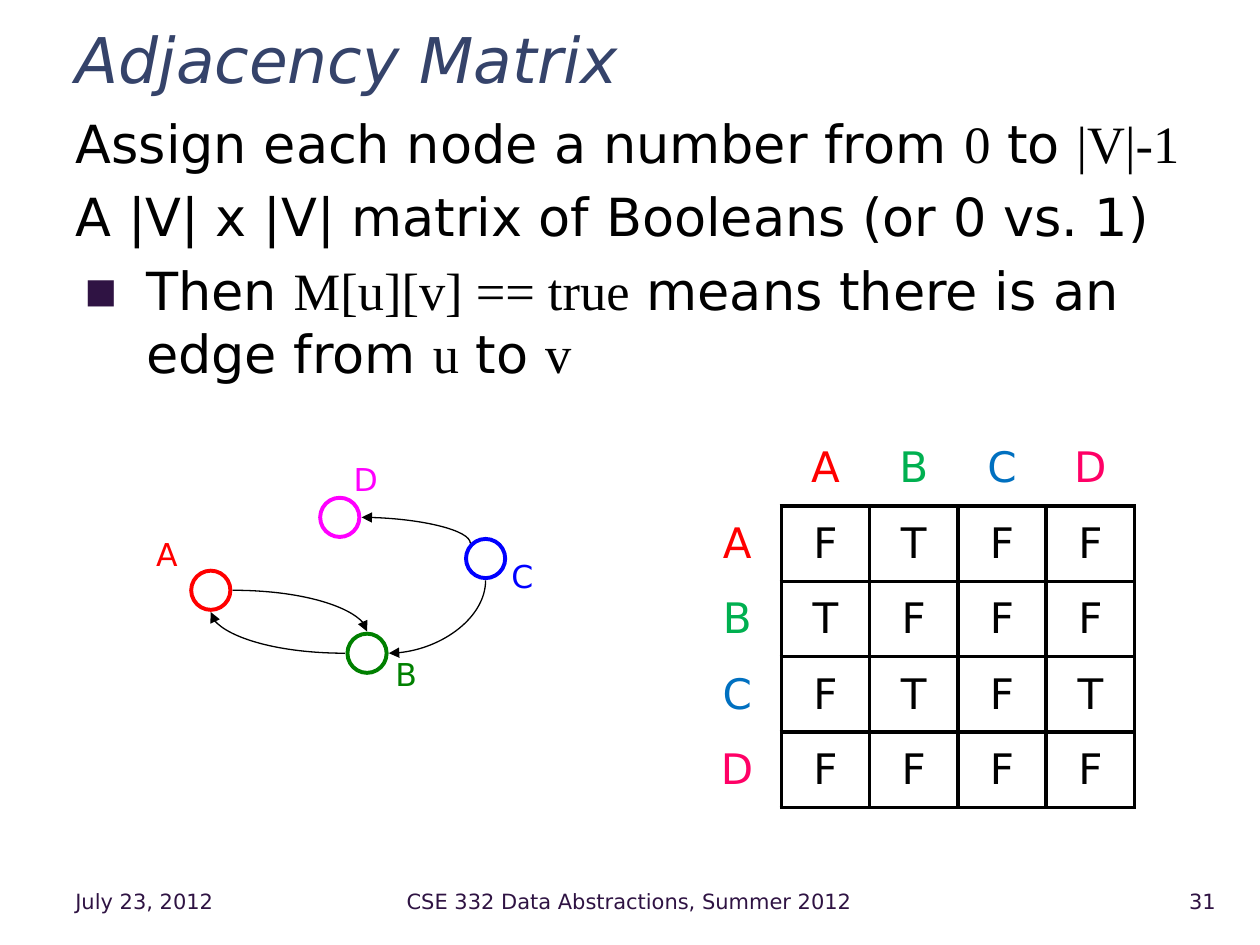
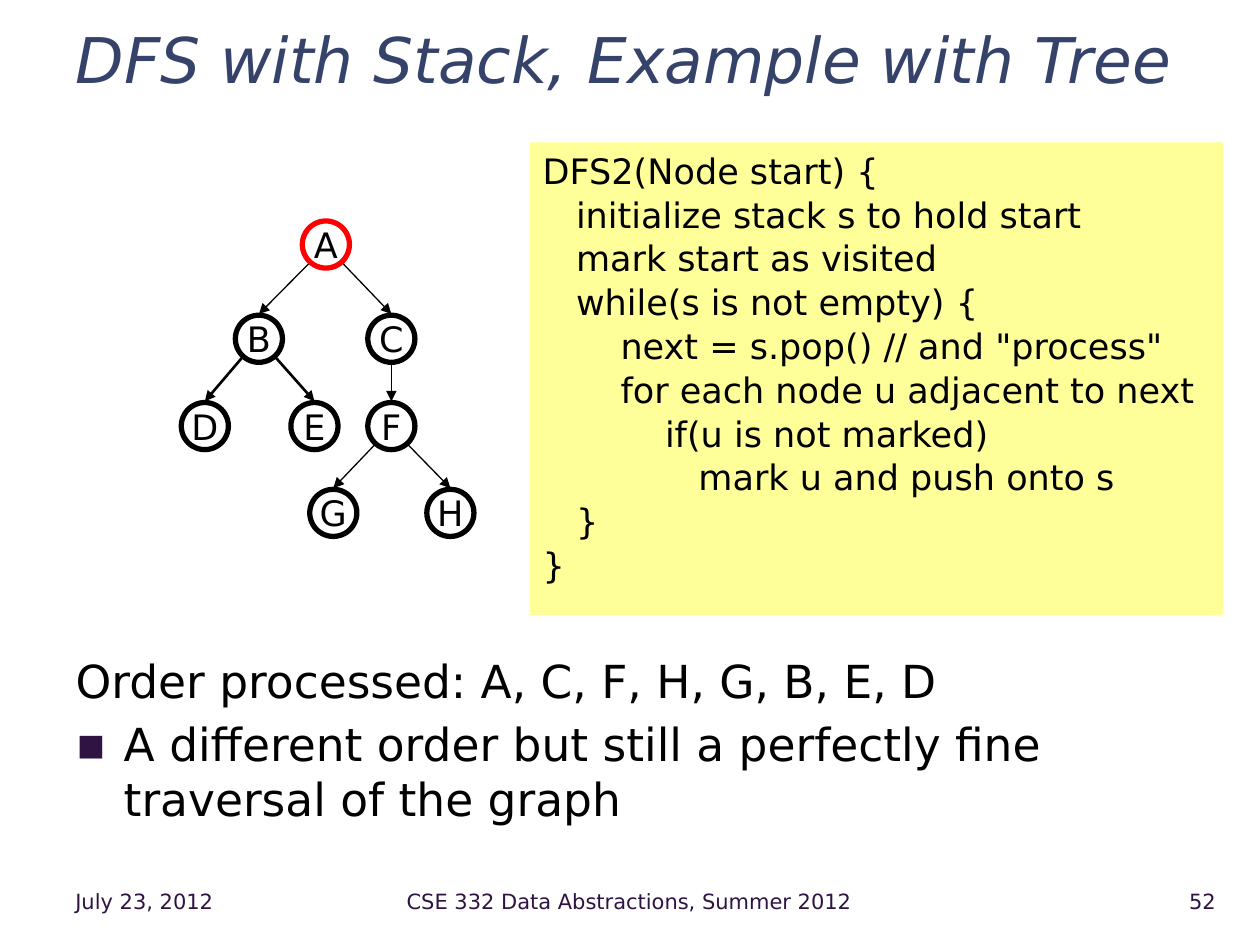
from lxml import etree
from pptx import Presentation
from pptx.dml.color import RGBColor
from pptx.enum.shapes import MSO_CONNECTOR, MSO_SHAPE
from pptx.enum.text import MSO_ANCHOR, MSO_AUTO_SIZE, PP_ALIGN
from pptx.oxml.ns import qn
from pptx.util import Cm, Pt

STRAIGHT, CURVE = MSO_CONNECTOR.STRAIGHT, MSO_CONNECTOR.CURVE
OVAL, RECTANGLE = MSO_SHAPE.OVAL, MSO_SHAPE.RECTANGLE
TOP, MIDDLE = MSO_ANCHOR.TOP, MSO_ANCHOR.MIDDLE
LEFT, CENTER, RIGHT = PP_ALIGN.LEFT, PP_ALIGN.CENTER, PP_ALIGN.RIGHT
NO_FIT = MSO_AUTO_SIZE.NONE

SANS, SERIF = "DejaVu Sans", "Times New Roman"
BLACK, WHITE, NAVY, PLUM = "000000", "FFFFFF", "35436A", "2F1343"
RED, CODE_YELLOW = "FF0000", "FFFF99"
NO_TABLE_STYLE = "{2D5ABB26-0587-4C30-8999-92F81FD0307C}"

TITLE_BOX = (1.27, 0.43, 23.5, 1.35)
FOOTER_TOP, FOOTER_HEIGHT = 17.65, 1.02

GRAPH_NODES = {
    "A": ((1.35, 2.75), (0, 1.52), RED),
    "B": ((4.5, 4.02), (4.82, 3.93), "008000"),
    "C": ((6.89, 2.11), (7.16, 1.95), "0000FF"),
    "D": ((3.95, 1.28), (3.98, 0), "FF00FF"),
}
GRAPH_EDGES = [
    ("A", (1, 0), "B", (0, -1), "tailEnd"),
    ("B", (-1, 0), "A", (0, 1), "tailEnd"),
    ("B", (1, 0), "C", (0, 1), "headEnd"),
    ("D", (1, 0), "C", (-0.7, -0.7), "headEnd"),
]
MATRIX_COLORS = {"A": RED, "B": "00B050", "C": "0070C0", "D": "FF0066"}
MATRIX_ROWS = ["FTFF", "TFFF", "FTFT", "FFFF"]

TREE_NODES = {
    "A": (2.91, 0.48), "B": (1.56, 2.38), "C": (4.23, 2.38),
    "D": (0.47, 4.14), "E": (2.68, 4.14), "F": (4.23, 4.14),
    "G": (3.06, 5.89), "H": (5.42, 5.89),
}
TREE_EDGES = ["AB", "AC", "BD", "BE", "CF", "FG", "FH"]

DFS_CODE = """DFS2(Node start) {
   initialize stack s to hold start
   mark start as visited
   while(s is not empty) {
       next = s.pop() // and "process"
       for each node u adjacent to next
           if(u is not marked)
              mark u and push onto s
   }
}"""


def color(hex_value):
    return RGBColor.from_string(hex_value)


def box_cm(left, top, width, height):
    return Cm(left), Cm(top), Cm(width), Cm(height)


def style_font(font, size, hex_value, name=SANS):
    font.name, font.size = name, Pt(size)
    font.color.rgb = color(hex_value)


def place(shape, box):
    shape.left, shape.top, shape.width, shape.height = box_cm(*box)


def add_label(slide, box, text, size, hex_value, align=LEFT, anchor=MIDDLE, wrap=True):
    frame = slide.shapes.add_textbox(*box_cm(*box)).text_frame
    frame.word_wrap, frame.vertical_anchor = wrap, anchor
    frame.text = text
    paragraph = frame.paragraphs[0]
    paragraph.alignment = align
    style_font(paragraph.runs[0].font, size, hex_value)


def add_footers(slide, number):
    for left, width, text, align in [
        (1.27, 4.45, "July 23, 2012", LEFT),
        (5.89, 13.59, "CSE 332 Data Abstractions, Summer 2012", CENTER),
        (22.58, 2.18, number, RIGHT),
    ]:
        add_label(slide, (left, FOOTER_TOP, width, FOOTER_HEIGHT), text, 12, PLUM, align)


def add_titled_slide(deck, title, number):
    slide = deck.slides.add_slide(deck.slide_layouts[1])
    heading = slide.shapes.title
    place(heading, TITLE_BOX)
    frame = heading.text_frame
    frame.auto_size, frame.vertical_anchor = NO_FIT, MIDDLE
    frame.text = title
    paragraph = frame.paragraphs[0]
    paragraph.alignment, paragraph.line_spacing = LEFT, 1.1
    font = paragraph.runs[0].font
    style_font(font, 36, NAVY)
    font.italic = True
    add_footers(slide, number)
    return slide


def set_indent(paragraph, margin, hanging):
    properties = paragraph._p.get_or_add_pPr()
    properties.set("marL", str(Cm(margin)))
    properties.set("indent", str(-Cm(hanging)))
    return properties


def set_bullet(paragraph, margin, hanging):
    properties = set_indent(paragraph, margin, hanging)
    tint = etree.SubElement(properties, qn("a:buClr"))
    etree.SubElement(tint, qn("a:srgbClr")).set("val", PLUM)
    etree.SubElement(properties, qn("a:buFont")).set("typeface", SANS)
    etree.SubElement(properties, qn("a:buChar")).set("char", "▪")


def fill_body(slide, box, statements, size, bullet_indent):
    body = slide.placeholders[1]
    place(body, box)
    frame = body.text_frame
    frame.auto_size = NO_FIT
    for index, pieces in enumerate(statements):
        paragraph = frame.add_paragraph() if index else frame.paragraphs[0]
        paragraph.space_before = Pt(0.2 * size if index else 0)
        if index == len(statements) - 1:
            set_bullet(paragraph, *bullet_indent)
        else:
            etree.SubElement(set_indent(paragraph, 0, 0), qn("a:buNone"))
        for position, piece in enumerate(pieces):
            run = paragraph.add_run()
            run.text = piece
            style_font(run.font, size, BLACK, SERIF if position % 2 else SANS)


def add_circle(slide, center, diameter, line_color, line_width):
    x, y = center
    circle = slide.shapes.add_shape(
        OVAL, *box_cm(x - diameter / 2, y - diameter / 2, diameter, diameter))
    circle.shadow.inherit = False
    circle.line.color.rgb = color(line_color)
    circle.line.width = Pt(line_width)
    return circle


def add_arrow(slide, kind, start, end, width, arrow_end="tailEnd"):
    arrow = slide.shapes.add_connector(kind, *(Cm(value) for value in (*start, *end)))
    arrow.line.color.rgb = color(BLACK)
    arrow.line.width = Pt(width)
    properties = arrow._element.spPr
    etree.SubElement(properties.find(qn("a:ln")), qn(f"a:{arrow_end}")).set("type", "triangle")
    etree.SubElement(properties, qn("a:effectLst"))
    return arrow


def draw_graph(slide, left, top):
    reach = 0.44

    def edge_point(node, direction):
        (x, y), (across, down) = GRAPH_NODES[node][0], direction
        return left + x + across * reach, top + y + down * reach

    for name, ((x, y), (label_x, label_y), hue) in GRAPH_NODES.items():
        circle = add_circle(slide, (left + x, top + y), 0.79, hue, 2.25)
        circle.fill.solid()
        circle.fill.fore_color.rgb = color(WHITE)
        add_label(slide, (left + label_x, top + label_y, 1.02, 1.09),
                  name, 18, hue, anchor=TOP, wrap=False)
    for flat_node, flat_side, steep_node, steep_side, arrow_end in GRAPH_EDGES:
        arrow = add_arrow(slide, CURVE, edge_point(flat_node, flat_side),
                          edge_point(steep_node, steep_side), 0.75, arrow_end)
        arrow._element.spPr.find(qn("a:prstGeom")).set("prst", "curvedConnector2")


def set_borders(cell, sides):
    properties = cell._tc.get_or_add_tcPr()
    for position, side in enumerate(sides):
        line = etree.Element(qn(f"a:ln{side}"), w=str(Pt(2.25)))
        fill = etree.SubElement(line, qn("a:solidFill"))
        etree.SubElement(fill, qn("a:srgbClr")).set("val", BLACK)
        properties.insert(position, line)


def draw_matrix(slide, left, top, column_width, row_height):
    names = list(MATRIX_COLORS)
    grid = [[""] + names] + [[name, *row] for name, row in zip(names, MATRIX_ROWS)]
    count = len(grid)
    table = slide.shapes.add_table(count, count, *box_cm(
        left, top, count * column_width, count * row_height)).table
    table.first_row = table.horz_banding = False
    table._tbl.tblPr.find(qn("a:tableStyleId")).text = NO_TABLE_STYLE
    for row_index, row in enumerate(grid):
        table.rows[row_index].height = Cm(row_height)
        table.columns[row_index].width = Cm(column_width)
        for column_index, text in enumerate(row):
            cell = table.cell(row_index, column_index)
            cell.fill.background()
            cell.vertical_anchor = MIDDLE
            cell.margin_left = cell.margin_right = Cm(0.25)
            cell.margin_top = cell.margin_bottom = Cm(0.25)
            if row_index and column_index:
                set_borders(cell, "LRTB")
            elif row_index:
                set_borders(cell, "R")
            elif column_index:
                set_borders(cell, "B")
            else:
                continue
            cell.text = text
            paragraph = cell.text_frame.paragraphs[0]
            paragraph.alignment = CENTER
            style_font(paragraph.runs[0].font, 24, MATRIX_COLORS.get(text, BLACK))


def draw_tree(slide, left, top):
    centers = {name: (left + x, top + y) for name, (x, y) in TREE_NODES.items()}
    for parent, child in TREE_EDGES:
        (x, y), (child_x, child_y) = centers[parent], centers[child]
        side = (child_x > x) - (child_x < x)
        start = (x + side * 0.34, y + (0.38 if side else 0.5))
        add_arrow(slide, STRAIGHT, start, (child_x, child_y - 0.5),
                  1.5 if parent == "B" else 0.75)
    for name, center in centers.items():
        circle = add_circle(slide, center, 0.95, RED if name == "A" else BLACK, 3)
        circle.fill.background()
        frame = circle.text_frame
        frame.word_wrap, frame.vertical_anchor = False, MIDDLE
        frame.text = name
        frame.paragraphs[0].alignment = CENTER
        style_font(frame.paragraphs[0].runs[0].font, 20, BLACK)


def draw_code(slide, box):
    panel = slide.shapes.add_shape(RECTANGLE, *box_cm(*box))
    panel.shadow.inherit = False
    panel.fill.solid()
    panel.fill.fore_color.rgb = color(CODE_YELLOW)
    panel.line.fill.background()
    frame = panel.text_frame
    frame.word_wrap, frame.vertical_anchor = True, TOP
    frame.margin_left = frame.margin_right = Cm(0.25)
    frame.margin_top = frame.margin_bottom = Cm(0.25)
    frame.text = DFS_CODE
    for index, paragraph in enumerate(frame.paragraphs):
        set_indent(paragraph, 0.97, 0.97)
        paragraph.alignment = LEFT
        paragraph.line_spacing = Pt(21)
        paragraph.space_before = Pt(4 if index else 0)
        style_font(paragraph.runs[0].font, 20, BLACK)


def build_matrix_slide(deck):
    slide = add_titled_slide(deck, "Adjacency Matrix", "31")
    fill_body(slide, (1.27, 2.11, 23.5, 15.24), [
        ["Assign each node a number from ", "0", " to ", "|V|-1"],
        ["A |V| x |V| matrix of Booleans (or 0 vs. 1)"],
        ["Then ", "M[u][v] == true", " means there is an edge from ", "u", " to ", "v"],
    ], 30, (1.42, 1.27))
    draw_graph(slide, 2.9, 9.15)
    draw_matrix(slide, 13.97, 8.68, 1.78, 1.52)


def build_tree_slide(deck):
    slide = add_titled_slide(deck, "DFS with Stack, Example with Tree", "52")
    fill_body(slide, (1.27, 13.03, 23.5, 4.32), [
        ["Order processed: A, C, F, H, G, B, E, D"],
        ["A different order but still a perfectly fine traversal of the graph"],
    ], 26, (0.97, 0.97))
    draw_tree(slide, 3.66, 4.45)
    draw_code(slide, (10.69, 2.87, 13.97, 9.53))


def main():
    deck = Presentation()
    deck.slide_width, deck.slide_height = Cm(25.4), Cm(19.05)
    build_matrix_slide(deck)
    build_tree_slide(deck)
    deck.save("out.pptx")


if __name__ == "__main__":
    main()
